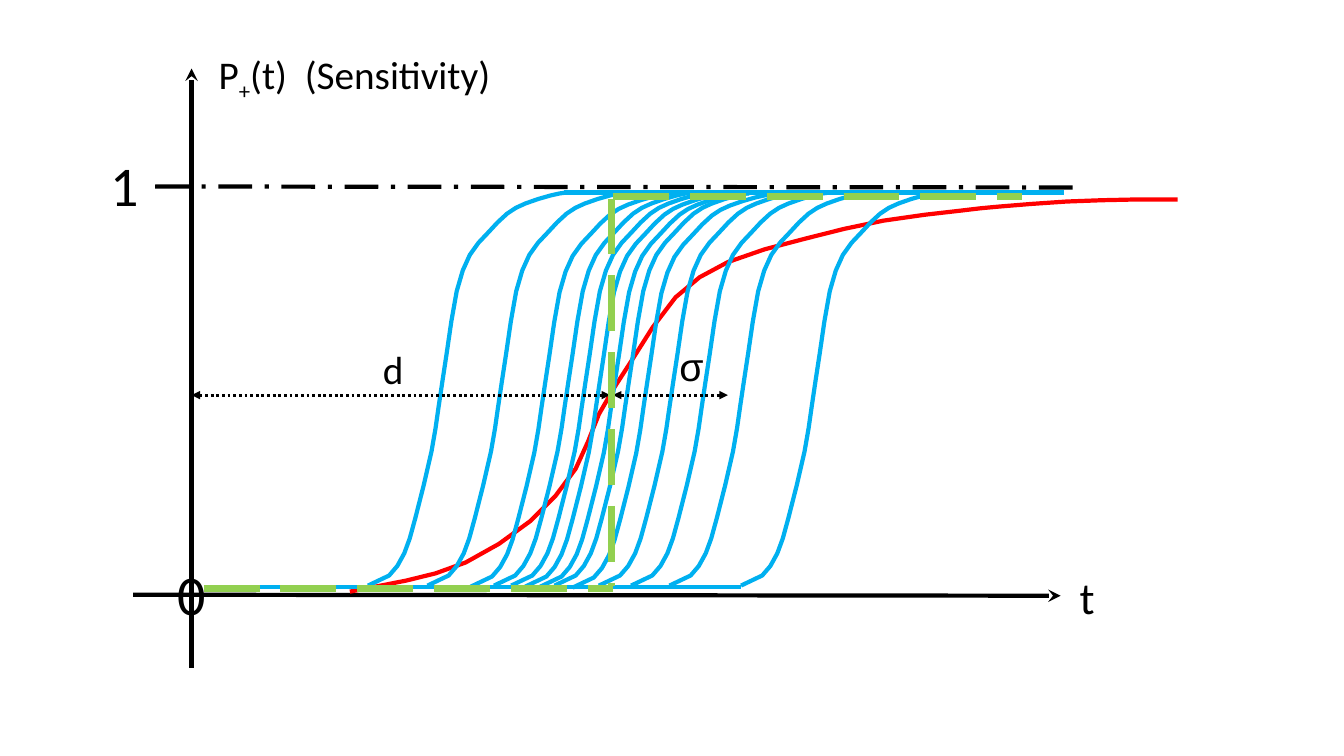
import lxml.etree
import pptx
import pptx.dml.color
import pptx.enum.dml
import pptx.enum.shapes
import pptx.oxml.ns
import pptx.util

PX = 9144  # EMU, 100 px to the inch
BLACK = pptx.dml.color.RGBColor(0x00, 0x00, 0x00)
RED = pptx.dml.color.RGBColor(0xFF, 0x00, 0x00)
BLUE = pptx.dml.color.RGBColor(0x00, 0xB0, 0xF0)
GREEN = pptx.dml.color.RGBColor(0x92, 0xD0, 0x50)
DASH = pptx.enum.dml.MSO_LINE

MEAN_KNOTS = [
    (347, 587), (403, 576), (462, 558), (526, 517), (571, 465), (594, 411),
    (627, 357), (670, 295), (722, 260), (798, 237), (876, 219), (953, 209),
    (991, 205), (1058, 200), (1124, 198), (1159, 198), (1168, 198),
]
STEP_KNOTS = [
    (0, 390), (21, 380), (36, 358), (47, 323), (63, 257), (70, 213),
    (78, 160), (88, 98), (101, 62), (119, 40), (138, 21), (156, 11),
    (181, 3), (197, 0), (207, 0),
]
# left and top of each single sensitivity curve
STEP_ORIGINS = [
    (365, 191), (735, 191), (594, 191), (490, 191), (664, 191), (424, 191),
    (568, 193), (521, 192), (536, 192), (467, 192), (626, 191), (550, 191),
    (507, 191),
]


def smooth(knots):
    """Add the Catmull-Rom midpoint to each stretch but the first and last."""
    points = [knots[0]]
    for before, start, end, after in zip(knots, knots[1:], knots[2:], knots[3:]):
        middle = tuple((9 * (b + c) - a - d) / 16
                       for a, b, c, d in zip(before, start, end, after))
        points += [start, middle]
    return points + knots[-2:]


def add_curve(slide, knots, color, left=0, top=0):
    points = [((left + x) * PX, (top + y) * PX) for x, y in smooth(knots)]
    builder = slide.shapes.build_freeform(*points[0])
    builder.add_line_segments(points[1:], close=False)
    curve = builder.convert_to_shape()
    curve.fill.background()
    curve.line.color.rgb = color
    curve.line.width = pptx.util.Pt(3)
    curve.shadow.inherit = False


def add_line(slide, start, end, color=BLACK, width=3, dash=None, head=None, tail=None):
    """Line between two points; head and tail name the arrowheads at start and end."""
    ends = [value * PX for value in (*start, *end)]
    connector = slide.shapes.add_connector(pptx.enum.shapes.MSO_CONNECTOR.STRAIGHT, *ends)
    line = connector.line
    line.color.rgb = color
    line.width = pptx.util.Pt(width)
    if dash is not None:
        line.dash_style = dash
    properties = connector._element.spPr
    outline = properties.find(pptx.oxml.ns.qn("a:ln"))
    for tag, arrow in (("a:headEnd", head), ("a:tailEnd", tail)):
        if arrow:
            lxml.etree.SubElement(outline, pptx.oxml.ns.qn(tag), type=arrow)
    lxml.etree.SubElement(properties, pptx.oxml.ns.qn("a:effectLst"))


def add_text(slide, text, left, top, width, height, size=28, font="Calibri", subscript=None):
    """Label on one line; the part of text equal to subscript is lowered."""
    box = slide.shapes.add_textbox(left * PX, top * PX, width * PX, height * PX)
    box.text_frame.word_wrap = True
    paragraph = box.text_frame.paragraphs[0]
    for part in text.partition(subscript) if subscript else [text]:
        run = paragraph.add_run()
        run.text = part
        run.font.size = pptx.util.Pt(size)
        run.font.name = font
        run.font.color.rgb = BLACK
        if part == subscript:
            run.font._element.set("baseline", "-25000")


def add_axes(slide):
    add_line(slide, (190, 68), (190, 663), head="stealth")
    add_line(slide, (132, 590), (1052, 591), tail="stealth")


def add_axis_labels(slide):
    add_text(slide, "P+(t)  (Sensitivity)", 207, 45, 353, 57, subscript="+")
    add_text(slide, "t", 1061, 560, 77, 64, size=32)
    add_text(slide, "d", 370, 338, 138, 57)
    add_text(slide, "0", 166, 550, 80, 154, size=40)
    add_text(slide, "1", 100, 144, 80, 154, size=40)


def add_single_curves(slide):
    add_line(slide, (239, 582), (735, 582), color=BLUE)
    add_line(slide, (559, 191), (1055, 191), color=BLUE)
    for left, top in STEP_ORIGINS:
        add_curve(slide, STEP_KNOTS, BLUE, left, top)


def add_spans(slide):
    add_text(slide, "σ", 664, 335, 138, 57, font="Arial")
    for left, right in ((190, 605), (608, 722)):
        add_line(slide, (left, 392), (right, 392), width=2, dash=DASH.ROUND_DOT,
                 head="triangle", tail="triangle")


def add_ideal_step(slide):
    for start, end in (((202, 584), (608, 584)), ((607, 197), (607, 581)),
                       ((608, 195), (1014, 195))):
        add_line(slide, start, end, color=GREEN, width=5, dash=DASH.LONG_DASH)


def main():
    presentation = pptx.Presentation()
    presentation.slide_width = 1333 * PX
    presentation.slide_height = 750 * PX
    slide = presentation.slides.add_slide(presentation.slide_layouts[6])
    add_axes(slide)
    add_curve(slide, MEAN_KNOTS, RED)
    add_line(slide, (154, 185), (1073, 186), dash=DASH.LONG_DASH_DOT)
    add_axis_labels(slide)
    add_single_curves(slide)
    add_spans(slide)
    add_ideal_step(slide)
    presentation.save("out.pptx")


if __name__ == "__main__":
    main()
